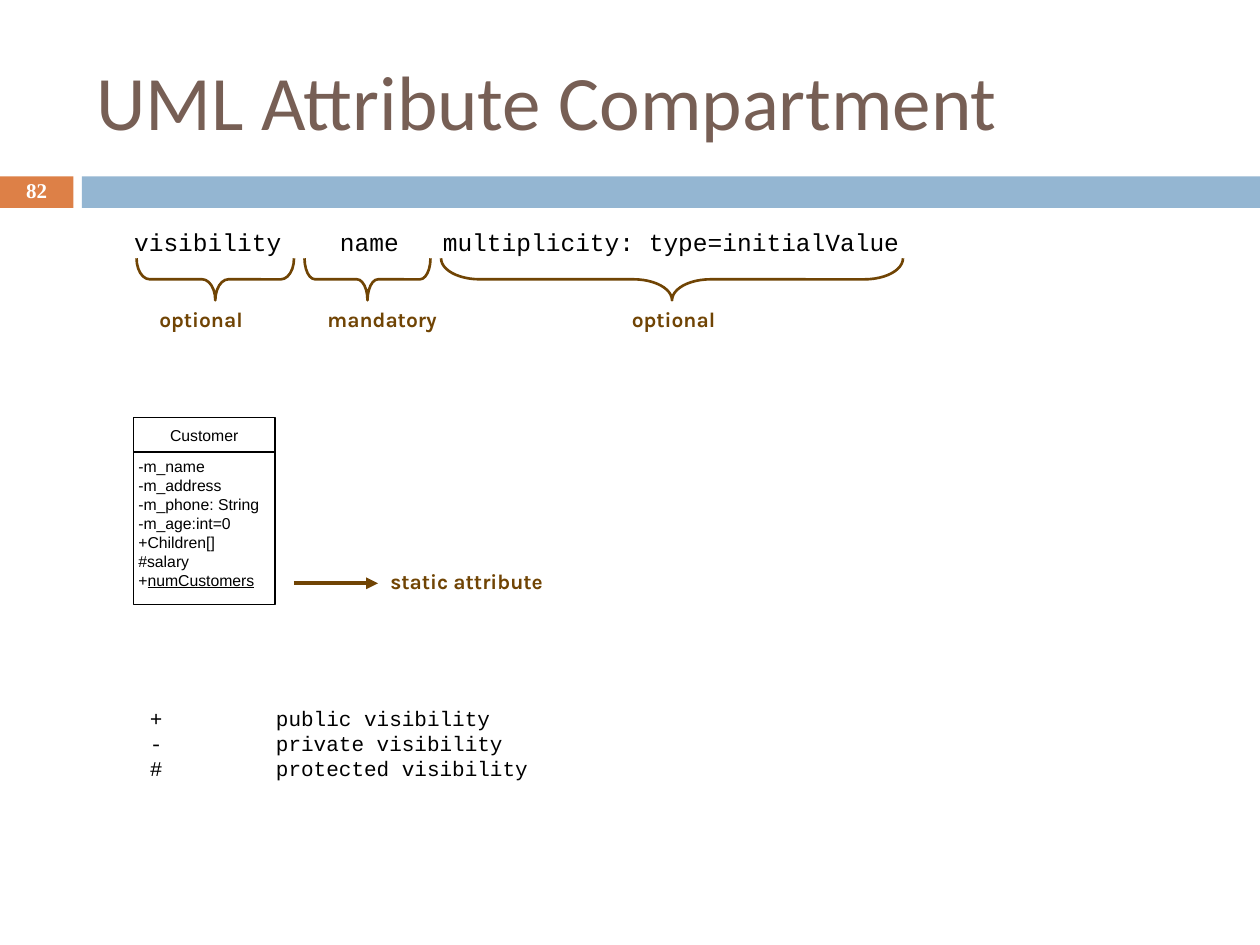
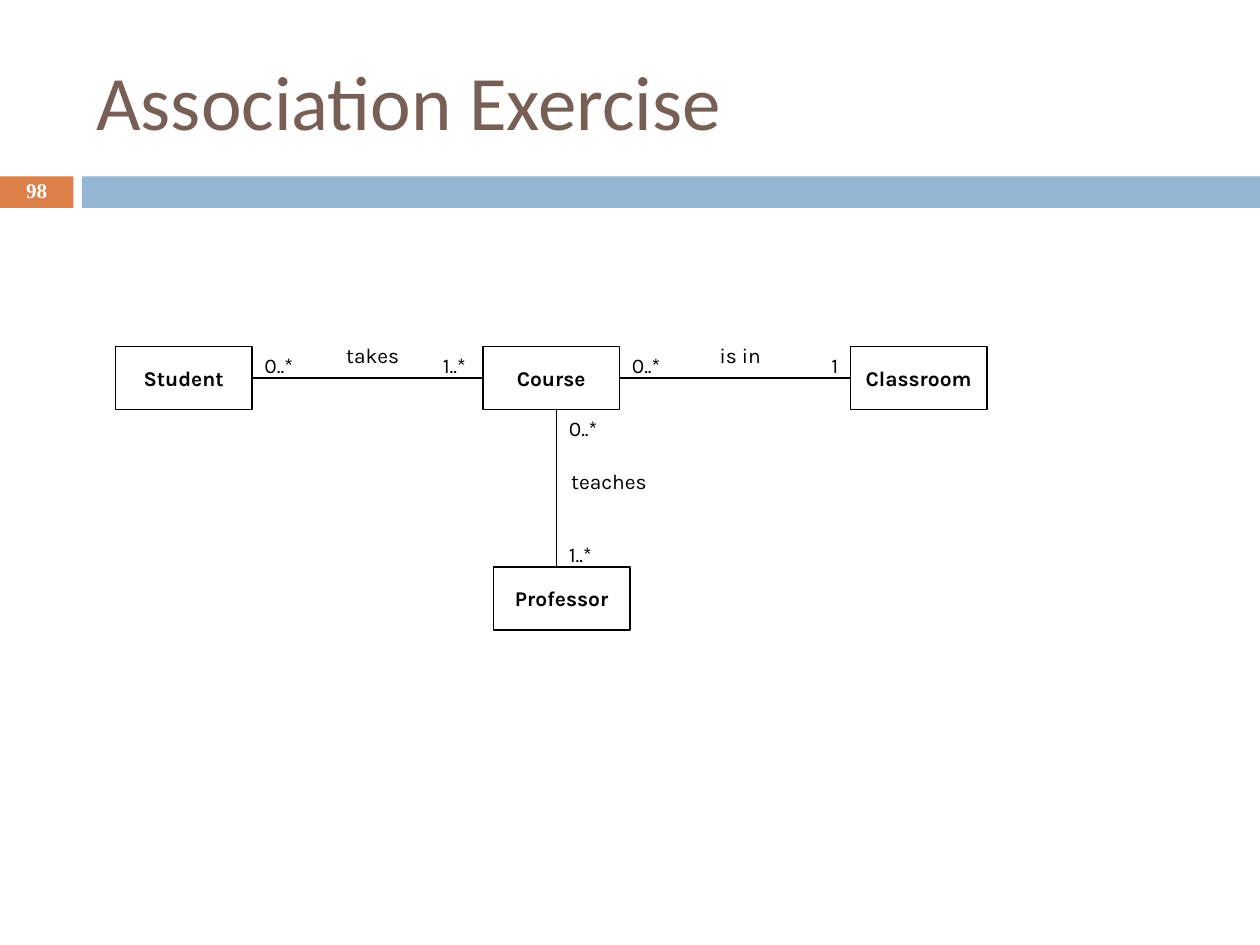
from lxml import etree
from pptx import Presentation
from pptx.dml.color import RGBColor
from pptx.enum.shapes import MSO_CONNECTOR, MSO_SHAPE
from pptx.enum.text import MSO_ANCHOR, PP_ALIGN
from pptx.oxml.ns import qn
from pptx.util import Inches, Pt

RECT, BRACE = MSO_SHAPE.RECTANGLE, MSO_SHAPE.RIGHT_BRACE
LINE = MSO_CONNECTOR.STRAIGHT
LEFT, MID = PP_ALIGN.LEFT, PP_ALIGN.CENTER
TOP, CORE = MSO_ANCHOR.TOP, MSO_ANCHOR.MIDDLE
WIDE, HIGH = Inches(10), Inches(7.5)
COLS = 120
RIGHT, WEST = 3, 1
HEX = {"ink": "000000", "paper": "FFFFFF", "title": "775F55",
       "tag": "DD8047", "band": "94B6D2", "note": "704404"}


def unit(num):
    """Turn grid columns (or the equally large rows) into a length."""
    return round(WIDE * num / COLS)


def tint(name):
    """Look up a colour."""
    return RGBColor.from_string(HEX[name])


def write(shape, lines, size=12, face="Karla", hue="ink", bold=False,
          side=LEFT, anchor=TOP, wrap=True, pad=(0.1, 0.05), lead=None,
          tabs=()):
    """Fill a shape with lines; a line may be a list of (text, underline)."""
    frame = shape.text_frame
    frame.word_wrap, frame.vertical_anchor = wrap, anchor
    frame.margin_left = frame.margin_right = Inches(pad[0])
    frame.margin_top = frame.margin_bottom = Inches(pad[1])
    for num, line in enumerate(lines):
        para = frame.add_paragraph() if num else frame.paragraphs[0]
        if tabs:
            stops = etree.SubElement(para._p.get_or_add_pPr(), qn("a:tabLst"))
            for stop in tabs:
                etree.SubElement(stops, qn("a:tab"), pos=str(Inches(stop)), algn="l")
        para.alignment = side
        if lead:
            para.line_spacing = lead
        font = para.font
        font.size, font.name, font.bold = Pt(size), face, bold
        font.color.rgb = tint(hue)
        for text, under in [(line, False)] if isinstance(line, str) else line:
            run = para.add_run()
            run.text = text
            if under:
                run.font.underline = True


def label(slide, at, *lines, **style):
    """Add a text box at a grid box."""
    write(slide.shapes.add_textbox(*map(unit, at)), lines, **style)


def block(slide, at, fill, edge=None):
    """Add a plain rectangle, outlined in ink when a width is given."""
    shape = slide.shapes.add_shape(RECT, *map(unit, at))
    shape.shadow.inherit = False
    shape.fill.solid()
    shape.fill.fore_color.rgb = tint(fill)
    if edge:
        shape.line.color.rgb = tint("ink")
        shape.line.width = Pt(edge)
    else:
        shape.line.fill.background()
    return shape


def link(slide, ends, hue="ink", width=1.0):
    """Draw a straight line between two grid points."""
    line = slide.shapes.add_connector(LINE, *map(unit, ends))
    etree.SubElement(line._element.spPr, qn("a:effectLst"))
    line.line.color.rgb = tint(hue)
    line.line.width = Pt(width)
    return line


def page(deck, title, num):
    """Start a slide with its title, number tag and band."""
    slide = deck.slides.add_slide(deck.slide_layouts[6])
    tag = block(slide, (0, 16.8, 7, 3), "tag")
    write(tag, [num], face="Times New Roman", hue="paper", bold=True,
          side=MID, anchor=CORE, lead=0.8)
    block(slide, (7.8, 16.8, COLS - 7.8, 3), "band")
    label(slide, (8, 3, 107, 13), title, size=44, face="Calibri",
          hue="title", anchor=CORE)
    return slide


def brace(slide, x, y, span, deep):
    """Draw a brace that opens upward over a span of columns."""
    at = (x + (span - deep) / 2, y + (deep - span) / 2, deep, span)
    shape = slide.shapes.add_shape(BRACE, *map(unit, at))
    shape.shadow.inherit = False
    shape.rotation = 90
    shape.adjustments[0] = span / 12 / deep
    shape.fill.background()
    shape.line.color.rgb = tint("note")
    shape.line.width = Pt(1.5)


def syntax(slide, x, y):
    """Show the attribute syntax with a brace and a note under each part."""
    pitch = 0.6 * 14 / 72
    label(slide, (x, y, 78, 4.1), "visibility\tname\tmultiplicity: type=initialValue",
          size=14, face="Courier New", tabs=(14 * pitch, 21 * pitch))
    parts = (("optional", 1.4, 15, 2.4, 12), ("mandatory", 17.4, 12, 18.4, 15),
             ("optional", 30.4, 44, 47.4, 12))
    for text, start, span, left, width in parts:
        brace(slide, x + start, y + 3.6, span, 4)
        label(slide, (x + left, y + 7.6, width, 3.6), text, hue="note", bold=True)


def entity(slide, x, y, width):
    """Draw the class with its attributes and the note on the static one."""
    rows = ["-m_name", "-m_address", "-m_phone: String", "-m_age:int=0",
            "+Children[]", "#salary", [("+", False), ("numCustomers", True)]]
    style = {"size": 9, "face": "Arial", "wrap": False}
    body = block(slide, (x, y + 3.25, width, 14.5), "paper", 0.75)
    write(body, rows, pad=(0.04, 0.04), lead=Pt(10.8), **style)
    head = block(slide, (x, y, width, 3.25), "paper", 0.75)
    write(head, ["Customer"], side=MID, anchor=CORE, pad=(0, 0), **style)
    row = y + 15.75
    arrow = link(slide, (x + 15.3, row, x + 23.3, row), "note", 2.25)
    etree.SubElement(arrow.line._get_or_add_ln(), qn("a:tailEnd"), type="triangle")
    label(slide, (x + 23.3, row - 2, 18, 3.6), "static attribute",
          hue="note", bold=True)


def legend(slide, at):
    """List the visibility signs."""
    label(slide, at, "+\tpublic visibility", "-\tprivate visibility",
          "#\tprotected visibility", face="Courier New", tabs=(1,))


def model(slide, x, y):
    """Draw the classes and their associations from the first class's corner."""
    wide, high, step = 13, 6, 35

    def node(name, left, top):
        """Add one named class box."""
        shape = block(slide, (left, top, wide, high), "paper", 1)
        write(shape, [name], bold=True, side=MID, anchor=CORE, wrap=False)
        return shape

    nodes = [node(name, x + num * step, y)
             for num, name in enumerate(("Student", "Course", "Classroom"))]
    ties = (("takes", "1..*", 17), ("is in", "1", 19))
    for num, (verb, many, shift) in enumerate(ties):
        left = x + wide + num * step
        line = link(slide, (left, y + high / 2, left + step - wide, y + high / 2))
        line.begin_connect(nodes[num], RIGHT)
        line.end_connect(nodes[num + 1], WEST)
        label(slide, (left + 1, y - 1, 21, 3.6), verb, side=MID)
        label(slide, (left, y, 7, 3.6), "0..*")
        label(slide, (left + shift, y, 7, 3.6), many)

    stem, foot = x + 42, y + 21
    node("Professor", x + 36, foot)
    link(slide, (stem, y + high, stem, foot))
    label(slide, (stem, y + high, 7, 3.6), "0..*")
    label(slide, (stem - 2, y + 11, 14, 3.6), "teaches", side=MID)
    label(slide, (stem, foot - 3, 7, 3.6), "1..*")


def main():
    """Build both slides and save them."""
    deck = Presentation()
    deck.slide_width, deck.slide_height = WIDE, HIGH
    slide = page(deck, "UML Attribute Compartment", "82")
    syntax(slide, 11.6, 21)
    entity(slide, 12.7, 39.8, 13.5)
    legend(slide, (13.1, 66.6, 40, 8.4))
    model(page(deck, "Association Exercise", "98"), 11, 33)
    deck.save("out.pptx")


if __name__ == "__main__":
    main()
